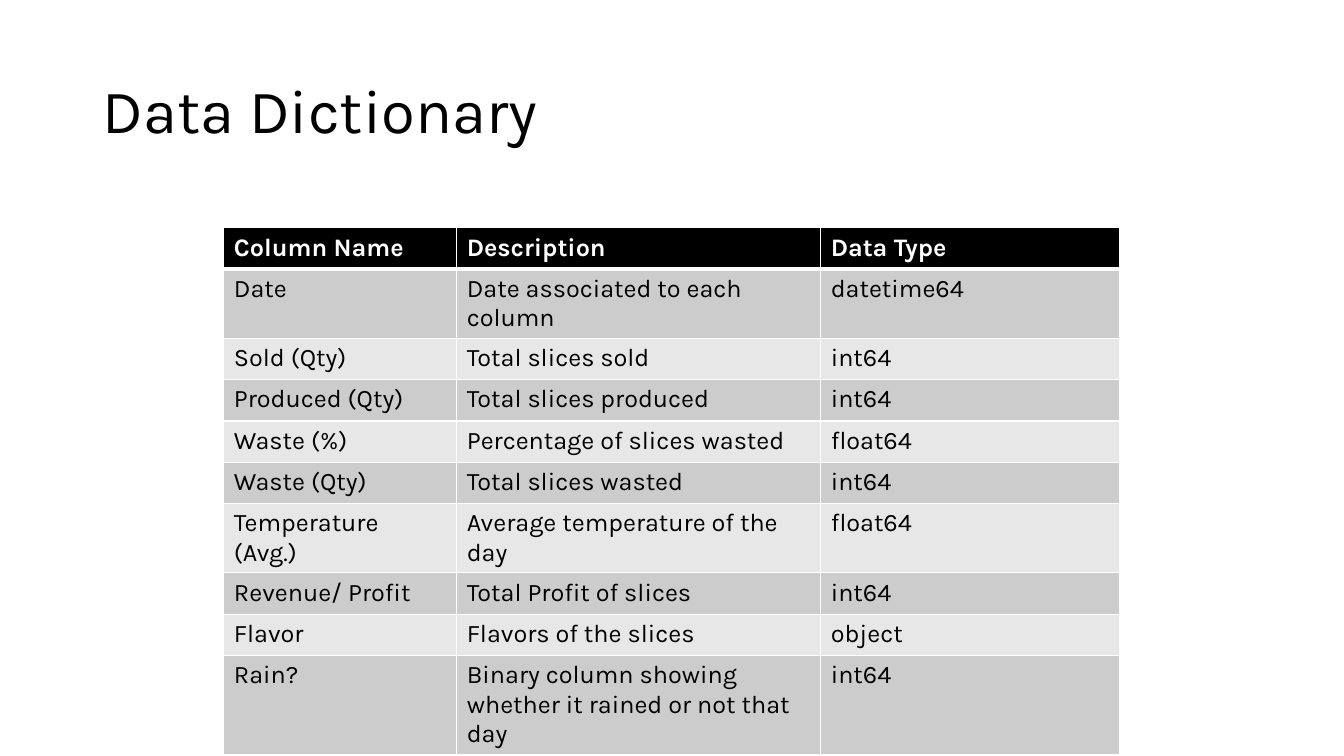
from dataclasses import dataclass

import pptx
import pptx.dml.color
import pptx.enum.text
import pptx.oxml
import pptx.oxml.ns
import pptx.slide
import pptx.table
import pptx.text.text
import pptx.util
from pptx.util import Inches

FONT = "Karla"
BLACK, WHITE = "000000", "FFFFFF"
BANDS = ("CCCCCC", "E7E7E7")
COLUMN_WIDTHS = (2.31, 3.61, 2.96)
ROW_HEIGHT = 0.41


@dataclass(frozen=True)
class Entry:
    name: str
    description: str
    data_type: str


HEADER = Entry("Column Name", "Description", "Data Type")
ENTRIES = [
    Entry("Date", "Date associated to each column", "datetime64"),
    Entry("Sold (Qty)", "Total slices sold", "int64"),
    Entry("Produced (Qty)", "Total slices produced", "int64"),
    Entry("Waste (%)", "Percentage of slices wasted", "float64"),
    Entry("Waste (Qty)", "Total slices wasted", "int64"),
    Entry("Temperature (Avg.)", "Average temperature of the day", "float64"),
    Entry("Revenue/ Profit", "Total Profit of slices", "int64"),
    Entry("Flavor", "Flavors of the slices", "object"),
    Entry("Rain?", "Binary column showing whether it rained or not that day", "int64"),
]


def colour(value: str) -> pptx.dml.color.RGBColor:
    return pptx.dml.color.RGBColor.from_string(value)


def write_text(frame: pptx.text.text.TextFrame, text: str, *, size: float,
               color: str = BLACK, bold: bool = False, line_spacing: float = 1.0) -> None:
    paragraph = frame.paragraphs[0]
    paragraph.alignment = pptx.enum.text.PP_ALIGN.LEFT
    paragraph.line_spacing = line_spacing
    run = paragraph.add_run()
    run.text = text
    run.font.name = FONT
    run.font.size = pptx.util.Pt(size)
    run.font.bold = bold
    run.font.color.rgb = colour(color)


def add_borders(cell: pptx.table._Cell, *, top: float = 1, bottom: float = 1) -> None:
    """Draw white cell borders, with widths in points."""
    properties = cell._tc.get_or_add_tcPr()
    for side, width in (("L", 1), ("R", 1), ("T", top), ("B", bottom)):
        properties.append(pptx.oxml.parse_xml(
            f'<a:ln{side} {pptx.oxml.ns.nsdecls("a")} w="{pptx.util.Pt(width)}">'
            f'<a:solidFill><a:srgbClr val="{WHITE}"/></a:solidFill></a:ln{side}>'))


def add_title(slide: pptx.slide.Slide, text: str) -> None:
    title = slide.shapes.title
    title.left, title.top = Inches(0.92), Inches(0.4)
    title.width, title.height = Inches(11.5), Inches(1.45)
    frame = title.text_frame
    frame.word_wrap = True
    frame.auto_size = pptx.enum.text.MSO_AUTO_SIZE.NONE
    frame.vertical_anchor = pptx.enum.text.MSO_ANCHOR.MIDDLE
    write_text(frame, text, size=44, line_spacing=0.9)


def add_dictionary(slide: pptx.slide.Slide, entries: list[Entry]) -> None:
    rows = [HEADER, *entries]
    table = slide.shapes.add_table(
        len(rows), len(COLUMN_WIDTHS), Inches(2.22), Inches(2.26),
        Inches(sum(COLUMN_WIDTHS)), Inches(ROW_HEIGHT * len(rows))).table
    for column, width in zip(table.columns, COLUMN_WIDTHS):
        column.width = Inches(width)
    for index, entry in enumerate(rows):
        table.rows[index].height = Inches(ROW_HEIGHT)
        is_header = index == 0
        fill = BLACK if is_header else BANDS[(index - 1) % 2]
        texts = (entry.name, entry.description, entry.data_type)
        for cell, text in zip(table.rows[index].cells, texts):
            # The header is set off by a thicker rule
            add_borders(cell, top=3 if index == 1 else 1, bottom=3 if is_header else 1)
            cell.fill.solid()
            cell.fill.fore_color.rgb = colour(fill)
            write_text(cell.text_frame, text, size=18, bold=is_header,
                       color=WHITE if is_header else BLACK)


def main() -> None:
    presentation = pptx.Presentation()
    presentation.slide_width, presentation.slide_height = Inches(13.33), Inches(7.5)
    slide = presentation.slides.add_slide(presentation.slide_layouts.get_by_name("Title Only"))
    slide.background.fill.solid()
    slide.background.fill.fore_color.rgb = colour(WHITE)

    # Title
    add_title(slide, "Data Dictionary")

    # Table of columns
    add_dictionary(slide, ENTRIES)

    presentation.save("out.pptx")


if __name__ == "__main__":
    main()
